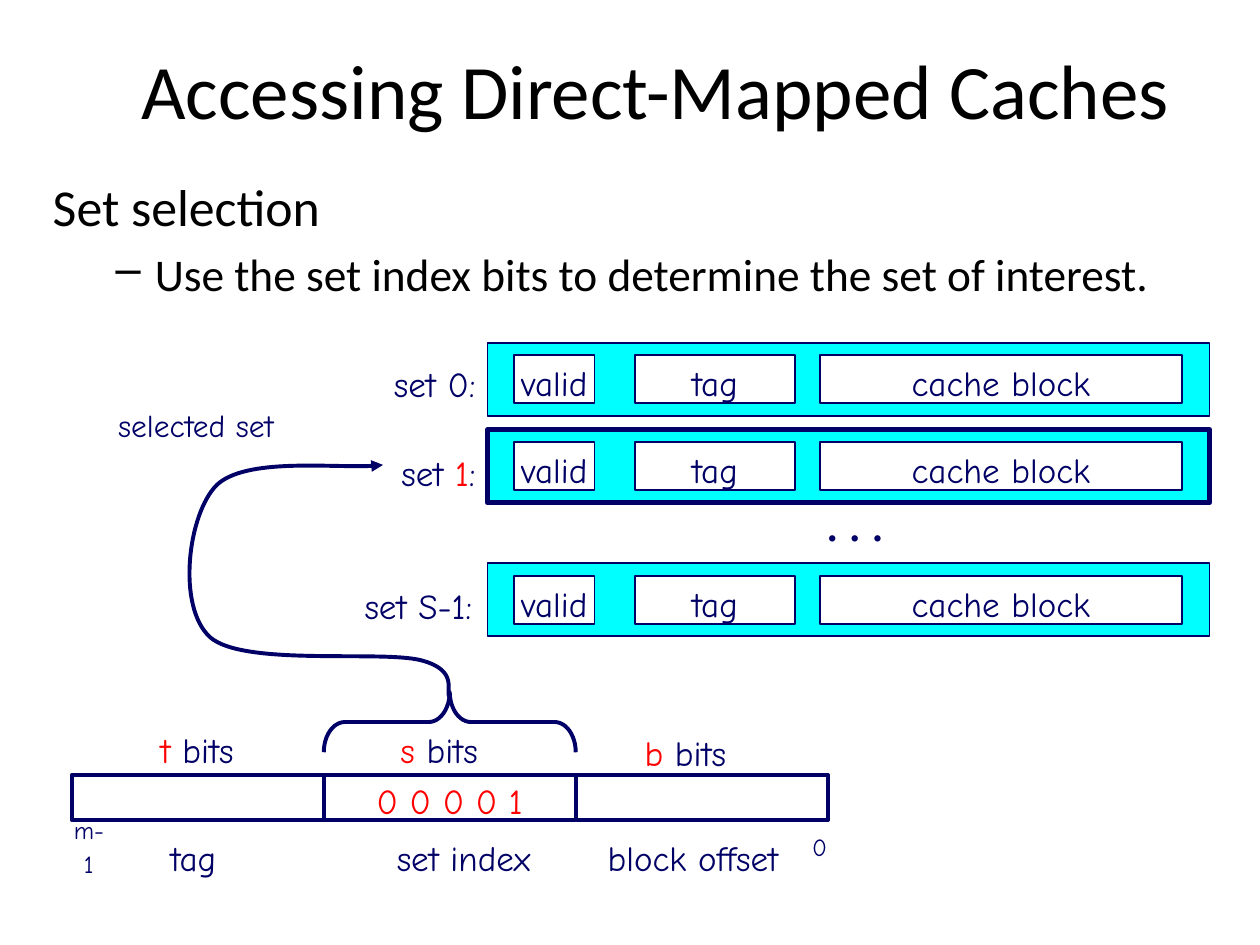
from dataclasses import dataclass

from lxml.etree import SubElement
from pptx import Presentation
from pptx.dml.color import RGBColor
from pptx.enum.shapes import MSO_SHAPE
from pptx.enum.text import MSO_ANCHOR, MSO_AUTO_SIZE, PP_ALIGN
from pptx.oxml.ns import qn
from pptx.util import Inches, Pt


@dataclass(frozen=True)
class Theme:
    text_font: str = "Calibri"
    diagram_font: str = "Comic Neue"
    black: RGBColor = RGBColor(0, 0, 0)
    navy: RGBColor = RGBColor(0x00, 0x00, 0x66)
    red: RGBColor = RGBColor(0xFF, 0x00, 0x00)
    cyan: RGBColor = RGBColor(0x00, 0xFF, 0xFF)
    white: RGBColor = RGBColor(0xFF, 0xFF, 0xFF)
    title_size: float = 44
    heading_size: float = 29.6
    bullet_size: float = 25.9
    label_size: float = 20
    caption_size: float = 18
    small_size: float = 14
    thin: float = 1
    medium: float = 2.25
    thick: float = 3


class CacheSlide:
    def __init__(self, presentation, theme):
        self.theme = theme
        self.slide = presentation.slides.add_slide(presentation.slide_layouts[5])
        self.shapes = self.slide.shapes

    def title(self, text, left, top, width, height):
        title = self.shapes.title
        title.left, title.top = Inches(left), Inches(top)
        title.width, title.height = Inches(width), Inches(height)
        title.text_frame.text = text
        title.text_frame.vertical_anchor = MSO_ANCHOR.MIDDLE
        paragraph = title.text_frame.paragraphs[0]
        paragraph.alignment = PP_ALIGN.CENTER
        self.set_font(paragraph.font, self.theme.text_font, self.theme.title_size, self.theme.black)

    def set_font(self, font, name, size, color):
        font.name, font.size = name, Pt(size)
        font.color.rgb = color

    def body(self, heading, bullet, left, top, width, height):
        box = self.shapes.add_textbox(Inches(left), Inches(top), Inches(width), Inches(height))
        frame = box.text_frame
        frame.word_wrap = True
        frame.text = f"{heading}\n{bullet}"
        sizes = (self.theme.heading_size, self.theme.bullet_size)
        indents = ((0.38, -0.38), (0.81, -0.31))
        for paragraph, size, (margin, indent) in zip(frame.paragraphs, sizes, indents):
            paragraph.space_before = Pt(round(size * 0.2, 1))
            self.set_font(paragraph.font, self.theme.text_font, size, self.theme.black)
            properties = paragraph._p.get_or_add_pPr()
            properties.set("marL", str(Inches(margin)))
            properties.set("indent", str(Inches(indent)))
        frame.paragraphs[1].level = 1
        bullet_mark = SubElement(properties, qn("a:buChar"))
        bullet_mark.set("char", "–")
        properties.insert_element_before(bullet_mark, "a:tabLst", "a:defRPr")

    def fill_text(self, shape, text, size=None, wrap=False):
        """Set centred diagram text; the part between asterisks is red."""
        frame = shape.text_frame
        frame.word_wrap = wrap
        frame.auto_size = MSO_AUTO_SIZE.NONE
        frame.vertical_anchor = MSO_ANCHOR.MIDDLE
        paragraph = frame.paragraphs[0]
        paragraph.alignment = PP_ALIGN.CENTER
        paragraph.line_spacing = 1.16
        for index, part in enumerate(text.split("*")):
            if part:
                run = paragraph.add_run()
                run.text = part
                color = self.theme.red if index % 2 else self.theme.navy
                self.set_font(run.font, self.theme.diagram_font, size or self.theme.label_size, color)

    def label(self, text, left, top, width, height=0.49, size=None, wrap=False):
        box = self.shapes.add_textbox(Inches(left), Inches(top), Inches(width), Inches(height))
        self.fill_text(box, text, size, wrap)

    def outline(self, shape, weight, fill=None):
        shape.shadow.inherit = False
        shape.line.color.rgb = self.theme.navy
        shape.line.width = Pt(weight)
        if fill is None:
            shape.fill.background()
        else:
            shape.fill.solid()
            shape.fill.fore_color.rgb = fill

    def box(self, left, top, width, height, weight, fill=None, text=""):
        shape = self.shapes.add_shape(
            MSO_SHAPE.RECTANGLE, Inches(left), Inches(top), Inches(width), Inches(height))
        self.outline(shape, weight, fill)
        if text:
            self.fill_text(shape, text)

    def cache_set(self, top, weight):
        self.box(3.87, top, 5.73, 0.58, weight, self.theme.cyan)
        for text, left, width in (("valid", 4.08, 0.64), ("tag", 5.04, 1.27), ("cache block", 6.51, 2.87)):
            self.box(left, top + 0.1, width, 0.38, self.theme.thin, self.theme.white, text)

    def brace(self, left, top, width, height):
        """Add an upward brace; the position is the one before rotation."""
        shape = self.shapes.add_shape(
            MSO_SHAPE.RIGHT_BRACE, Inches(left), Inches(top), Inches(width), Inches(height))
        shape.rotation = 270
        shape.adjustments[0] = 0.349
        self.outline(shape, self.theme.medium)

    def curved_arrow(self, start, controls):
        """Draw cubic curves, three control points to each, with an end arrowhead."""
        builder = self.shapes.build_freeform(Inches(start[0]), Inches(start[1]))
        builder.add_line_segments([(Inches(x), Inches(y)) for x, y in controls], close=False)
        shape = builder.convert_to_shape()
        self.outline(shape, self.theme.medium)
        segments = list(shape._element.iter(qn("a:lnTo")))
        curve_outline = segments[0].getparent()
        for first in range(0, len(segments), 3):
            curve = SubElement(curve_outline, qn("a:cubicBezTo"))
            for segment in segments[first:first + 3]:
                curve.append(segment[0])
                curve_outline.remove(segment)
        SubElement(shape.line._get_or_add_ln(), qn("a:tailEnd")).set("type", "triangle")


def main():
    presentation = Presentation()
    presentation.slide_width, presentation.slide_height = Inches(10), Inches(7.5)
    theme = Theme()
    slide = CacheSlide(presentation, theme)
    slide.title("Accessing Direct-Mapped Caches", 0.44, 0.27, 9.53, 0.86)
    slide.body("Set selection", "Use the set index bits to determine the set of interest.",
               0.32, 1.34, 9.09, 1.18)

    address_fields = ("", "*0 0 0 0 1*", "")
    for index, text in enumerate(address_fields):
        slide.box(0.57 + 2 * index, 6.15, 2, 0.36, theme.medium, text=text)
    for text, left, top, width in (
        ("*t* bits", 1.11, 5.68, 0.91),
        ("*s* bits", 3.03, 5.68, 0.91),
        ("*b* bits", 4.97, 5.7, 0.94),
        ("tag", 1.23, 6.53, 0.61),
        ("set index", 2.99, 6.53, 1.38),
        ("block offset", 4.61, 6.53, 1.78),
    ):
        slide.label(text, left, top, width)
    slide.label("m-1", 0.45, 6.51, 0.51, 0.38, theme.small_size, wrap=True)
    slide.label("0", 6.35, 6.51, 0.31, 0.38, theme.small_size)
    slide.brace(3.33, 4.73, 0.48, 2)
    slide.label("selected set", 0.49, 3.06, 2.13, 0.57, theme.caption_size)

    for top, weight in ((2.72, theme.thin), (3.41, theme.thick), (4.47, theme.thin)):
        slide.cache_set(top, weight)
    slide.label("• • •", 6.44, 3.96, 0.69)
    slide.label("set 0:", 2.98, 2.77, 0.94)
    slide.label("set *1*:", 3.03, 3.48, 0.9)
    slide.label("set S-1:", 2.72, 4.53, 1.2)
    slide.curved_arrow((3.57, 5.54), (
        (3.53, 5.49), (3.65, 5.32), (3.34, 5.24),
        (3.02, 5.16), (1.94, 5.29), (1.67, 5.06),
        (1.4, 4.82), (1.49, 4.08), (1.72, 3.85),
        (1.95, 3.63), (2.77, 3.73), (3.04, 3.69),
    ))
    presentation.save("out.pptx")


if __name__ == "__main__":
    main()
